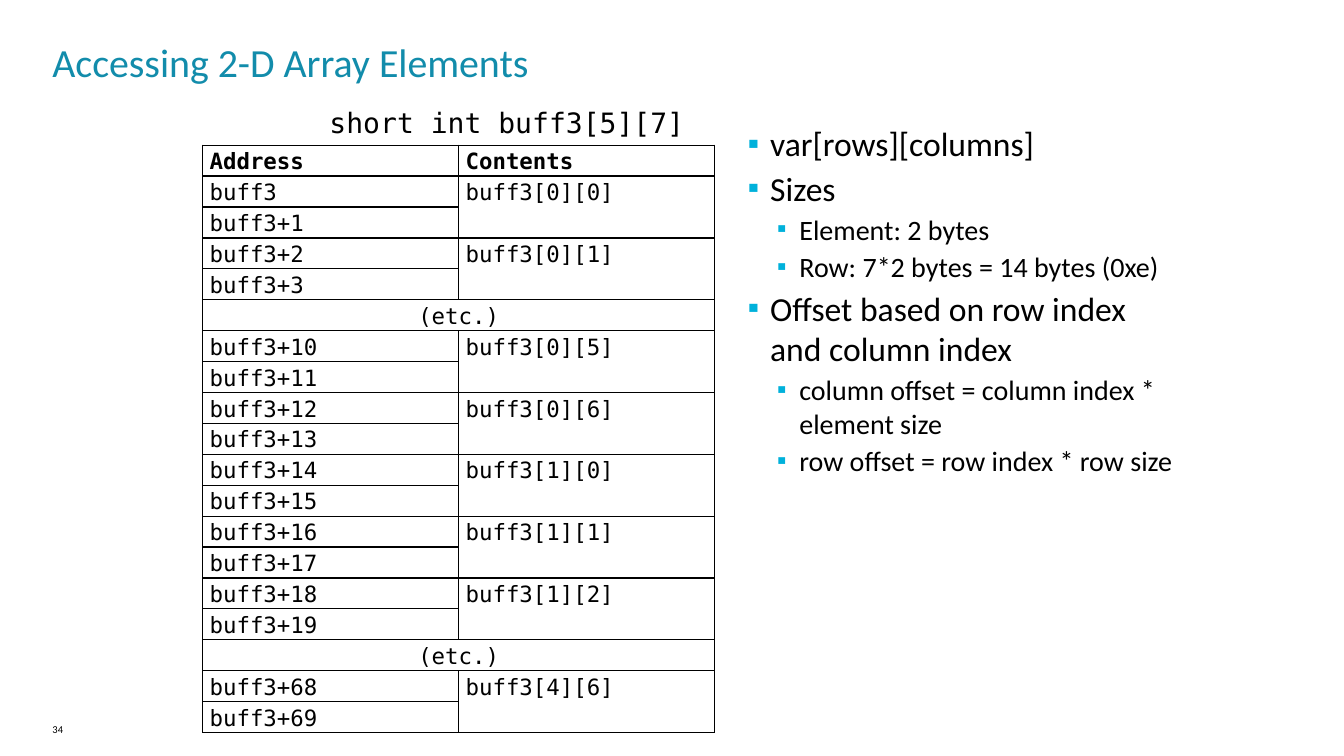
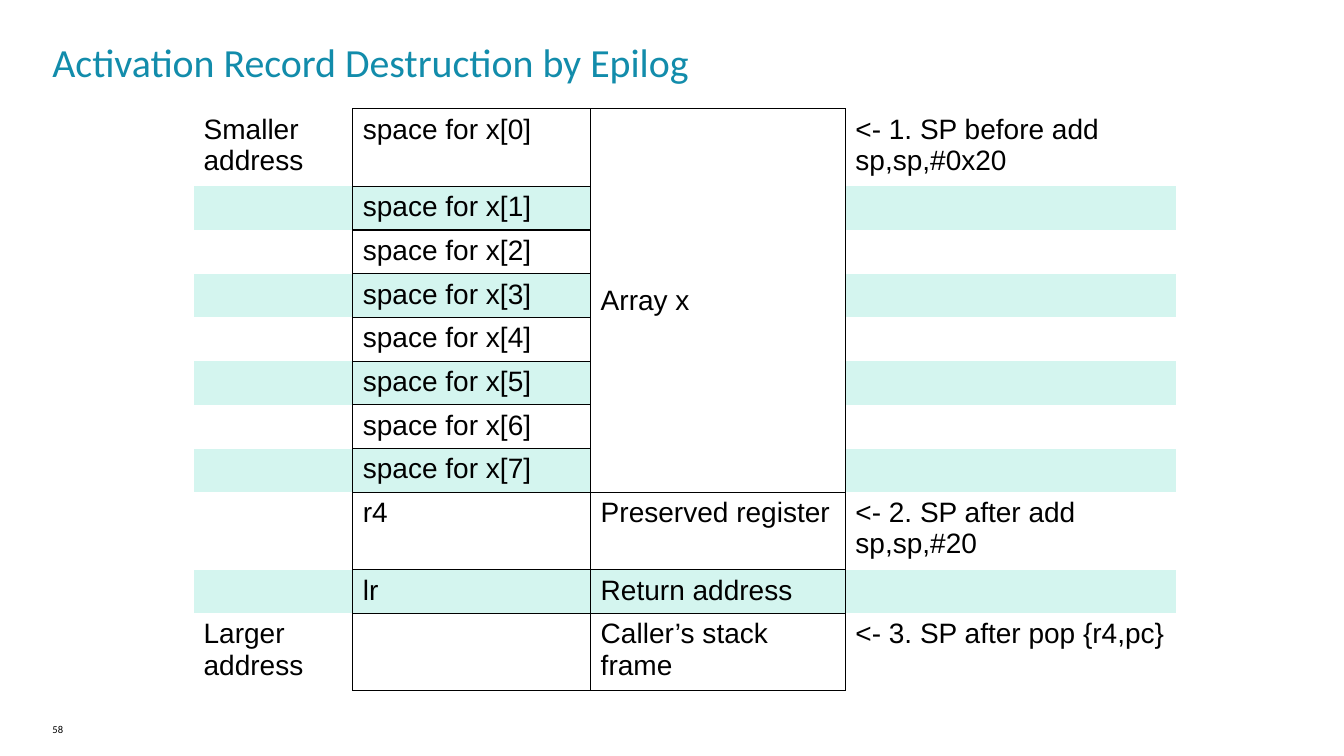
from lxml.etree import SubElement
from pptx import Presentation
from pptx.dml.color import RGBColor
from pptx.enum.text import MSO_ANCHOR as Anchor, MSO_AUTO_SIZE as AutoSize, PP_ALIGN as Align
from pptx.oxml.ns import qn
from pptx.util import Inches, Pt

WIDTH, HEIGHT = Inches(13.33), Inches(7.5)
BLACK, TITLE_BLUE, BULLET_BLUE, BAND_GREEN = "000000", "128CAB", "00B1DB", "D4F5EF"
SANS, MONO, TABLE_FONT = "Calibri", "DejaVu Sans Mono", "Arial"
TITLE_ONLY, TITLE_AND_BODY = 5, 1

# Array declared as short int buff3[5][7]
COLUMNS, ELEMENT_SIZE = 7, 2
ELEMENTS = [(0, 0), (0, 1), None, (0, 5), (0, 6),
            (1, 0), (1, 1), (1, 2), None, (4, 6)]

NOTES = [
    (0, "var[rows][columns]"),
    (0, "Sizes"),
    (1, "Element: 2 bytes"),
    (1, "Row: 7*2 bytes = 14 bytes (0xe)"),
    (0, "Offset based on row index and column index"),
    (1, "column offset = column index * element size"),
    (1, "row offset = row index * row size"),
]

STACK = [
    ("Smaller address", "space for x[0]", "Array x", "<- 1. SP before add sp,sp,#0x20"),
    *[("", f"space for x[{index}]", "", "") for index in range(1, 8)],
    ("", "r4", "Preserved register", "<- 2. SP after add sp,sp,#20"),
    ("", "lr", "Return address", ""),
    ("Larger address", "", "Caller’s stack frame", "<- 3. SP after pop {r4,pc}"),
]


# Shared helpers: positions are percentages of the slide
def across(percent):
    return round(WIDTH * percent / 100)


def down(percent):
    return round(HEIGHT * percent / 100)


def area(left, top, width, height):
    return across(left), down(top), across(width), down(height)


def color(value):
    return RGBColor.from_string(value)


def style(paragraph, name, size, value=BLACK, bold=False):
    font = paragraph.font
    font.name, font.size, font.bold = name, Pt(size), bold
    font.color.rgb = color(value)


def set_margins(frame, left=0, top=0, right=0, bottom=0):
    frame.margin_left, frame.margin_right = Inches(left), Inches(right)
    frame.margin_top, frame.margin_bottom = Inches(top), Inches(bottom)


def fit_placeholder(placeholder, *box):
    placeholder.left, placeholder.top, placeholder.width, placeholder.height = area(*box)
    frame = placeholder.text_frame
    set_margins(frame)
    frame.vertical_anchor = Anchor.TOP
    frame.auto_size = AutoSize.NONE
    return frame


def add_text(slide, box, text, name, size):
    frame = slide.shapes.add_textbox(*area(*box)).text_frame
    frame.text = text
    style(frame.paragraphs[0], name, size)
    return frame


def add_slide(presentation, layout, title, number):
    slide = presentation.slides.add_slide(presentation.slide_layouts[layout])
    frame = fit_placeholder(slide.shapes.title, 3.9, 4.93, 91.6, 8.4)
    frame.text = title
    paragraph = frame.paragraphs[0]
    paragraph.alignment = Align.LEFT
    style(paragraph, SANS, 28.5, TITLE_BLUE)
    set_margins(add_text(slide, (3.9, 95.6, 10.73, 3.47), number, SANS, 7.5), right=0.1)
    return slide


# Bulleted list
def add_bullet(paragraph, level, text):
    paragraph.text = text
    paragraph.level = level
    paragraph.space_before = Pt(3)
    properties = paragraph._p.get_or_add_pPr()
    properties.set("marL", str(Inches((0.22, 0.51)[level])))
    properties.set("indent", str(Inches(-0.22)))
    bullet_color = SubElement(properties, qn("a:buClr"))
    SubElement(bullet_color, qn("a:srgbClr"), val=BULLET_BLUE)
    SubElement(properties, qn("a:buSzPct"), val="95000")
    SubElement(properties, qn("a:buFont"), typeface=SANS)
    SubElement(properties, qn("a:buChar"), char="▪")
    style(paragraph, SANS, (24, 20)[level])


def fill_list(frame, items):
    for index, (level, text) in enumerate(items):
        paragraph = frame.add_paragraph() if index else frame.paragraphs[0]
        add_bullet(paragraph, level, text)
    frame.paragraphs[0].space_before = Pt(0)


# Tables
def add_table(slide, left, top, widths, heights):
    box = area(left, top, sum(widths), sum(heights))
    table = slide.shapes.add_table(len(heights), len(widths), *box).table
    table.first_row = table.horz_banding = False
    for column, width in zip(table.columns, widths):
        column.width = across(width)
    for row, height in zip(table.rows, heights):
        row.height = down(height)
    return table


def format_cell(cell, sides="LRTB", fill=None):
    properties = cell._tc.get_or_add_tcPr()
    for side in "LRTB":
        line = SubElement(properties, qn(f"a:ln{side}"), w=str(Pt(1)))
        if side in sides:
            solid = SubElement(line, qn("a:solidFill"))
            SubElement(solid, qn("a:srgbClr"), val=BLACK)
        else:
            SubElement(line, qn("a:noFill"))
    if fill:
        cell.fill.solid()
        cell.fill.fore_color.rgb = color(fill)
    else:
        cell.fill.background()


def write_cell(cell, text, name, size, bold=False):
    cell.text = text
    paragraph = cell.text_frame.paragraphs[0]
    style(paragraph, name, size, bold=bold)
    return paragraph


def address_rows():
    """Give the two texts of each row; None marks a cell merged into another."""
    yield "Address", "Contents"
    for element in ELEMENTS:
        if element is None:
            yield "(etc.)", None
            continue
        row, column = element
        offset = (row * COLUMNS + column) * ELEMENT_SIZE
        yield f"buff3+{offset}" if offset else "buff3", f"buff3[{row}][{column}]"
        yield f"buff3+{offset + 1}", None


def add_address_table(slide):
    rows = list(address_rows())
    table = add_table(slide, 15.08, 19.2, [19.05] * 2, [3.95] * len(rows))
    for row, texts in enumerate(rows):
        for column, text in enumerate(texts):
            cell = table.cell(row, column)
            format_cell(cell)
            set_margins(cell, left=0.07, right=0.07)
            if text is not None:
                paragraph = write_cell(cell, text, MONO, 16, bold=row == 0)
                paragraph.line_spacing = 1.15
                if text == "(etc.)":
                    paragraph.alignment = Align.CENTER
                    cell.merge(table.cell(row, 1))
                elif row and column:
                    cell.merge(table.cell(row + 1, column))


def add_stack_table(slide):
    heights = [9.6 if any(texts[::3]) else 5.5 for texts in STACK]
    table = add_table(slide, 14.4, 14.4, [11.85, 17.7, 18.95, 24.62], heights)
    column_sides = ["R", "LRTB", "LRTB", "L"]
    array_cell = table.cell(0, 2)
    array_cell.merge(table.cell(7, 2))
    array_cell.vertical_anchor = Anchor.MIDDLE
    for row, texts in enumerate(STACK):
        for column, text in enumerate(texts):
            cell = table.cell(row, column)
            banded = row % 2 and not cell.is_spanned
            format_cell(cell, column_sides[column], BAND_GREEN if banded else None)
            if text:
                write_cell(cell, text, TABLE_FONT, 20)


# Slides
def build_array_slide(presentation):
    slide = add_slide(presentation, TITLE_AND_BODY, "Accessing 2-D Array Elements", "34")
    add_address_table(slide)
    fill_list(fit_placeholder(slide.placeholders[1], 55.65, 16.27, 31.88, 83.73), NOTES)
    declaration = add_text(slide, (23.78, 13.33, 29.25, 5.87),
                           "short int buff3[5][7]", MONO, 20)
    declaration.word_wrap = False


def build_stack_slide(presentation):
    slide = add_slide(presentation, TITLE_ONLY, "Activation Record Destruction by Epilog", "58")
    add_stack_table(slide)


def main():
    presentation = Presentation()
    presentation.slide_width, presentation.slide_height = WIDTH, HEIGHT
    build_array_slide(presentation)
    build_stack_slide(presentation)
    presentation.save("out.pptx")


if __name__ == "__main__":
    main()
